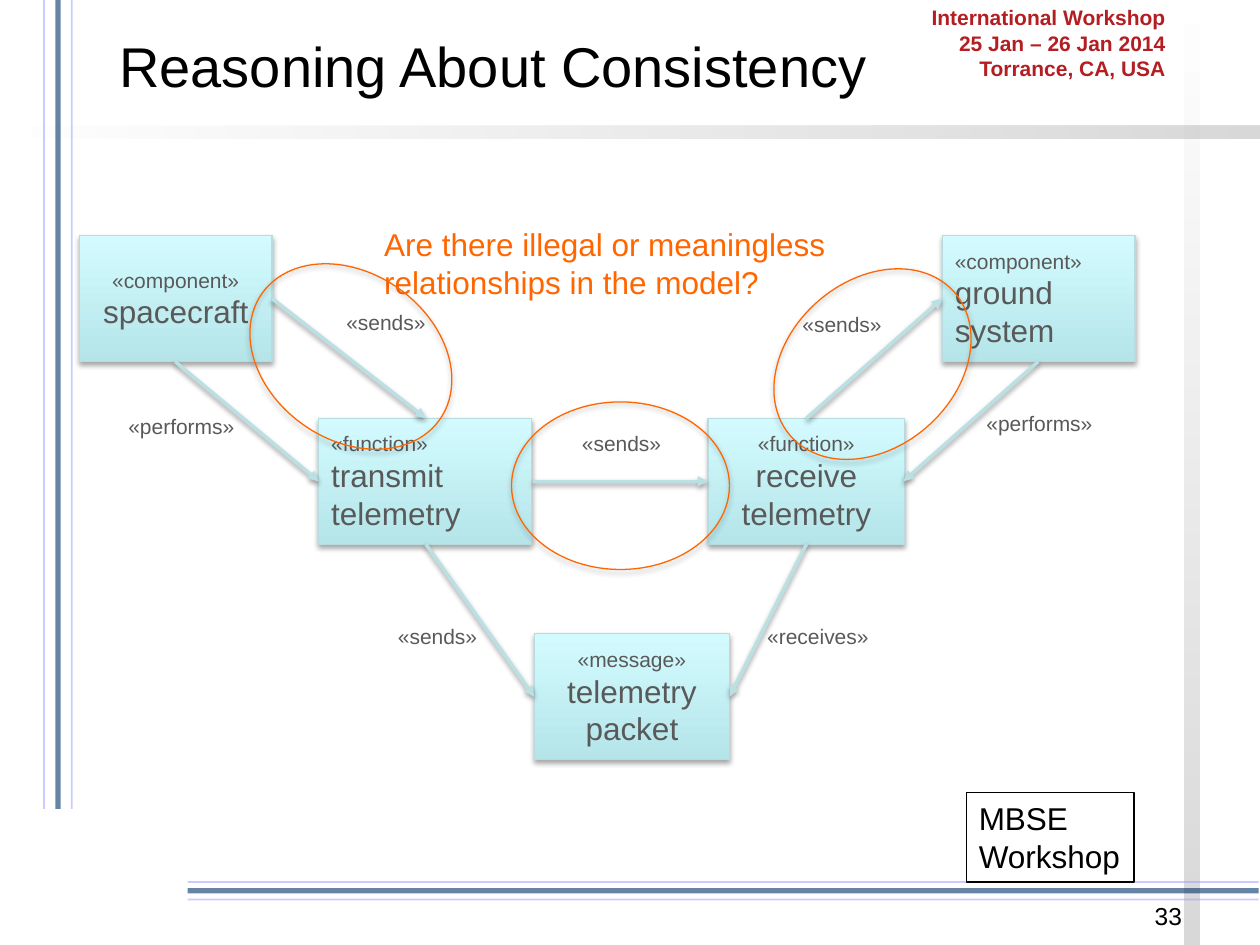
from lxml.etree import SubElement
from pptx import Presentation
from pptx.dml.color import RGBColor
from pptx.enum.shapes import MSO_CONNECTOR, MSO_SHAPE
from pptx.enum.text import MSO_ANCHOR, MSO_AUTO_SIZE, PP_ALIGN
from pptx.oxml.ns import qn
from pptx.util import Inches, Pt

BLACK = RGBColor(0x00, 0x00, 0x00)
WHITE = RGBColor(0xFF, 0xFF, 0xFF)
SILVER = RGBColor(0xB2, 0xB2, 0xB2)
LAVENDER = RGBColor(0x99, 0x99, 0xFF)
NAVY = RGBColor(0x00, 0x33, 0x66)
RED = RGBColor(0xB4, 0x1E, 0x22)
ORANGE = RGBColor(0xFF, 0x66, 0x00)
GREY = RGBColor(0x59, 0x59, 0x59)
AQUA = RGBColor(0xB5, 0xE5, 0xE9)
PALE_AQUA = RGBColor(0xD3, 0xFB, 0xFF)
EDGE = RGBColor(0xB6, 0xDC, 0xDF)
ARROW = RGBColor(0xBB, 0xE0, 0xE3)
LEFT, CENTER, RIGHT = PP_ALIGN.LEFT, PP_ALIGN.CENTER, PP_ALIGN.RIGHT


def set_alpha(element, percent):
    for color in element.iter(qn("a:srgbClr")):
        SubElement(color, qn("a:alpha"), val=str(percent * 1000))


def add_shadow(shape, percent, distance):
    properties = shape._element.spPr
    effects = properties.find(qn("a:effectLst"))
    if effects is None:
        effects = SubElement(properties, qn("a:effectLst"))
    shadow = SubElement(effects, qn("a:outerShdw"), blurRad=str(Pt(3.1)),
                        dist=str(Pt(distance)), dir="5400000", rotWithShape="0")
    SubElement(shadow, qn("a:srgbClr"), val="000000")
    set_alpha(shadow, percent)


deck = Presentation()
deck.slide_width, deck.slide_height = Inches(10), Inches(7.5)
page = deck.slides.add_slide(deck.slide_layouts[5])
shapes = page.shapes

bands = [(5.71, 3.69, 7.5, 0.12, 90), (0, 1, 10.01, 0.1, 0)]
for left, top, width, height, rotation in bands:
    band = shapes.add_shape(MSO_SHAPE.RECTANGLE, Inches(left), Inches(top), Inches(width), Inches(height))
    band.rotation = rotation
    band.shadow.inherit = False
    band.line.fill.background()
    band.fill.gradient()
    band.fill.gradient_angle = 0
    for stop, color in zip(band.fill.gradient_stops, (WHITE, SILVER)):
        stop.color.rgb = color
    set_alpha(band._element.spPr, 50)

rules = [(x, 0, x, 6.42) for x in (0.35, 0.46, 0.57)] + [(9.99, y, 1.49, y) for y in (7, 7.07, 7.14)]
rule_styles = [(LAVENDER, 1, 50), (NAVY, 3, 60), (LAVENDER, 1, 50)] * 2
for ends, (color, weight, opacity) in zip(rules, rule_styles):
    rule = shapes.add_connector(MSO_CONNECTOR.STRAIGHT, *map(Inches, ends))
    rule.line.color.rgb = color
    rule.line.width = Pt(weight)
    set_alpha(rule._element.spPr, opacity)
    SubElement(rule._element.spPr, qn("a:effectLst"))

title = shapes.title
title.left, title.top, title.width, title.height = Inches(0.5), Inches(0), Inches(6.83), Inches(1.04)
title.text_frame.text = "Reasoning About Consistency"
title.text_frame.auto_size = MSO_AUTO_SIZE.NONE
title.text_frame.vertical_anchor = MSO_ANCHOR.MIDDLE
title_para = title.text_frame.paragraphs[0]
title_para.alignment = CENTER
title_font = title_para.runs[0].font
title_font.name, title_font.size = "Arial", Pt(32)
title_font.color.rgb = BLACK

nodes = [
    (0.63, 1.87, 1.53, "component", "spacecraft", CENTER),
    (2.53, 3.32, 1.69, "function", "transmit telemetry", LEFT),
    (5.62, 3.32, 1.56, "function", "receive telemetry", CENTER),
    (4.24, 5.03, 1.55, "message", "telemetry packet", CENTER),
    (7.48, 1.87, 1.53, "component", "ground system", LEFT),
]
for left, top, width, stereotype, name, alignment in nodes:
    node = shapes.add_shape(MSO_SHAPE.RECTANGLE, Inches(left), Inches(top), Inches(width), Inches(1))
    node.shadow.inherit = False
    node.fill.gradient()
    node.fill.gradient_angle = 90
    for stop, color in zip(node.fill.gradient_stops, (AQUA, PALE_AQUA)):
        stop.color.rgb = color
    node.line.color.rgb = EDGE
    node.line.width = Pt(0.75)
    add_shadow(node, 35, 1.8)
    frame = node.text_frame
    frame.word_wrap = True
    frame.vertical_anchor = MSO_ANCHOR.MIDDLE
    para = frame.paragraphs[0]
    para.text = f"«{stereotype}»\v{name}"
    para.alignment = alignment
    SubElement(para._p.find(qn("a:br")), qn("a:rPr"), sz="1200")
    for span, size in zip(para.runs, (12, 18)):
        span.font.name, span.font.size = "Arial", Pt(size)
        span.font.color.rgb = GREY

arrows = [
    (1.39, 2.87, 2.53, 3.82, "tailEnd"),
    (7.17, 3.82, 8.24, 2.87, "headEnd"),
    (3.38, 4.32, 4.24, 5.53, "tailEnd"),
    (5.79, 5.53, 6.4, 4.32, "headEnd"),
    (2.16, 2.37, 3.38, 3.32, "tailEnd"),
    (4.23, 3.82, 5.62, 3.82, "tailEnd"),
    (6.4, 3.32, 7.48, 2.37, "tailEnd"),
]
for *ends, arrow_end in arrows:
    arrow = shapes.add_connector(MSO_CONNECTOR.STRAIGHT, *map(Inches, ends))
    arrow.line.color.rgb = ARROW
    arrow.line.width = Pt(2)
    SubElement(arrow.line._get_or_add_ln(), qn(f"a:{arrow_end}"), type="triangle")
    add_shadow(arrow, 38, 1.6)

labels = [
    (0.92, 3.23, 1.05, "performs"),
    (7.73, 3.21, 1.05, "performs"),
    (3.06, 4.9, 0.84, "sends"),
    (5.99, 4.9, 1.02, "receives"),
    (2.65, 2.41, 0.84, "sends"),
    (4.52, 3.37, 0.84, "sends"),
    (6.27, 2.42, 0.84, "sends"),
]
texts = [
    (7.23, -0.01, 2.12, 0.71, "International Workshop\n25 Jan – 26 Jan 2014\nTorrance, CA, USA", 12, RED, RIGHT, False),
    (7.67, 6.29, 1.33, 0.71, "MBSE \vWorkshop", 18, BLACK, LEFT, False),
    (2.95, 1.74, 4.14, 0.71, "Are there illegal or meaningless relationships in the model?", 18, ORANGE, LEFT, True),
    (7.15, 7.1, 2.33, 0.4, "33", 14, BLACK, RIGHT, True),
] + [(left, top, width, 0.3, f"«{word}»", 12, GREY, LEFT, False) for left, top, width, word in labels]
for left, top, width, height, text, size, color, alignment, wrap in texts:
    box = shapes.add_textbox(Inches(left), Inches(top), Inches(width), Inches(height))
    frame = box.text_frame
    frame.word_wrap = wrap
    frame.text = text
    for para in frame.paragraphs:
        para.alignment = alignment
        for span in para.runs:
            span.font.name, span.font.size = "Arial", Pt(size)
            span.font.bold = color == RED
            span.font.color.rgb = color
    if text.startswith("MBSE"):
        box.line.color.rgb = BLACK
        box.line.width = Pt(0.75)

ellipses = [(1.92, 2.17, 1.32, 35.6), (4.06, 3.19, 1.33, 0), (6.06, 2.23, 1.32, 318.7)]
for left, top, height, rotation in ellipses:
    ellipse = shapes.add_shape(MSO_SHAPE.OVAL, Inches(left), Inches(top), Inches(1.73), Inches(height))
    ellipse.rotation = rotation
    ellipse.shadow.inherit = False
    ellipse.fill.background()
    ellipse.line.color.rgb = ORANGE
    ellipse.line.width = Pt(0.75)
    add_shadow(ellipse, 35, 1.8)

deck.save("out.pptx")
